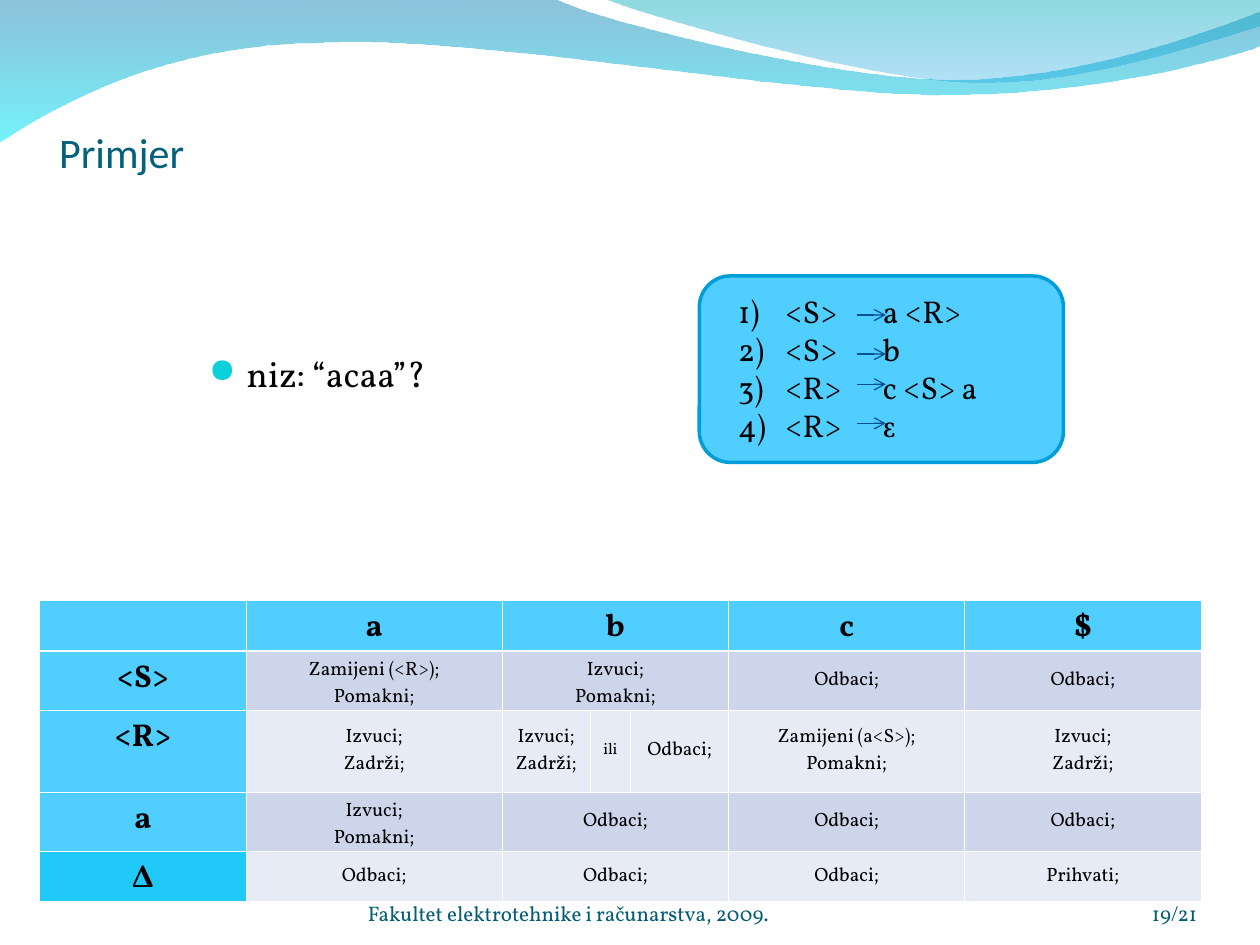
from dataclasses import dataclass

from lxml.etree import SubElement
from pptx import Presentation
from pptx.dml.color import RGBColor
from pptx.enum.shapes import MSO_CONNECTOR, MSO_SHAPE
from pptx.enum.text import MSO_ANCHOR, PP_ALIGN
from pptx.oxml.ns import qn
from pptx.util import Emu, Inches, Pt

# The slide is a grid of 100 columns by 75 rows
prs = Presentation()
prs.slide_width, prs.slide_height = Inches(10), Inches(7.5)
UNIT = prs.slide_width / 100
slide = prs.slides.add_slide(prs.slide_layouts[6])
shapes = slide.shapes

SERIF = "Vollkorn"
BLACK, WHITE, SKY, FOOTER = "000000", "FFFFFF", "4FCEFF", "045C75"


@dataclass
class Label:
    lines: list[str]
    box: tuple[float, float, float, float]
    size: float
    color: str
    font: str = SERIF
    anchor: MSO_ANCHOR = MSO_ANCHOR.TOP
    align: PP_ALIGN = PP_ALIGN.LEFT
    insets: tuple[float, float, float, float] = (0, 0, 0, 0)
    wrap: bool = True
    bullet: str = ""
    bullet_color: str = BLACK
    indent: float = 0
    tab: float = 0


@dataclass
class Wave:
    start: tuple[float, float]
    segments: list[tuple]  # one point is a line, three points a curve
    stops: list[tuple[str, int]]  # colour and opacity in percent


def grid(*cells: float) -> list[Emu]:
    return [Emu(round(c * UNIT)) for c in cells]


def rgb(code: str) -> RGBColor:
    return RGBColor.from_string(code)


def style(paragraph, size: float, color: str, font: str = SERIF, bold: bool = False) -> None:
    for run in paragraph.runs:
        run.font.size, run.font.name, run.font.bold = Pt(size), font, bold
        run.font.color.rgb = rgb(color)


def add_bullet(paragraph, label: Label) -> None:
    props = paragraph._p.get_or_add_pPr()
    indent = grid(label.indent)[0]
    props.set("marL", str(indent))
    props.set("indent", str(-indent))
    SubElement(SubElement(props, qn("a:buClr")), qn("a:srgbClr"), val=label.bullet_color)
    if label.bullet == "1)":
        SubElement(props, qn("a:buFont"), typeface=SERIF)
        SubElement(props, qn("a:buAutoNum"), type="arabicParenR")
    else:
        SubElement(props, qn("a:buSzPct"), val="95000")
        SubElement(props, qn("a:buFont"), typeface="OpenSymbol")
        SubElement(props, qn("a:buChar"), char=label.bullet)
    if label.tab:
        tabs = SubElement(props, qn("a:tabLst"))
        SubElement(tabs, qn("a:tab"), pos=str(grid(label.tab)[0]), algn="l")


def add_label(label: Label) -> None:
    frame = shapes.add_textbox(*grid(*label.box)).text_frame
    frame.word_wrap, frame.vertical_anchor = label.wrap, label.anchor
    (frame.margin_left, frame.margin_top,
     frame.margin_right, frame.margin_bottom) = grid(*label.insets)
    frame.text = "\n".join(label.lines)
    for paragraph in frame.paragraphs:
        if label.bullet:
            add_bullet(paragraph, label)
        paragraph.alignment = label.align
        style(paragraph, label.size, label.color, label.font)


def bend_segments(shape, segments: list[tuple]) -> None:
    """Join each run of three straight steps into one Bézier curve."""
    steps = iter(list(shape._element.iter(qn("a:lnTo"))))
    for segment in segments:
        nodes = [next(steps) for _ in segment]
        if len(nodes) == 3:
            outline = nodes[0].getparent()
            curve = outline.makeelement(qn("a:cubicBezTo"))
            outline.replace(nodes[0], curve)
            for node in nodes:
                curve.append(node[0])
            for node in nodes[1:]:
                outline.remove(node)


def add_wave(wave: Wave) -> None:
    builder = shapes.build_freeform(*grid(*wave.start), scale=1.0)
    builder.add_line_segments(
        [grid(*point) for segment in wave.segments for point in segment], close=True)
    shape = builder.convert_to_shape()
    bend_segments(shape, wave.segments)
    shape.shadow.inherit = False
    shape.line.fill.background()
    shape.fill.gradient()
    shape.fill.gradient_angle = 270
    for stop, (color, _) in zip(shape.fill.gradient_stops, wave.stops):
        stop.color.rgb = rgb(color)
    for node, (_, opacity) in zip(shape._element.spPr.iter(qn("a:srgbClr")), wave.stops):
        SubElement(node, qn("a:alpha"), val=str(opacity * 1000))


def add_arrow(left: float, right: float, y: float) -> None:
    arrow = shapes.add_connector(MSO_CONNECTOR.STRAIGHT, *grid(left, y, right, y))
    arrow.line.color.rgb, arrow.line.width = rgb("065093"), Pt(0.75)
    SubElement(arrow.line._get_or_add_ln(), qn("a:tailEnd"), type="arrow")
    SubElement(arrow._element.spPr, qn("a:effectLst"))


def add_borders(cell, widths: dict[str, float]) -> None:
    props = cell._tc.get_or_add_tcPr()
    for side, width in widths.items():
        line = SubElement(props, qn(f"a:ln{side}"), w=str(Pt(width)))
        SubElement(SubElement(line, qn("a:solidFill")), qn("a:srgbClr"), val=WHITE)


# Waves along the top edge
add_wave(Wave((0, -0.1), [
    ((44, -0.1),),
    ((47.6, 1.7), (66.4, 6.3), (75.8, 6.3)), ((85.3, 6.3), (95.8, 2.6), (100, 0.9)),
    ((100.1, 3.6),),
    ((98.3, 4.4), (87, 7.6), (74.6, 7.5)), ((62.2, 7.5), (38.2, 2.8), (25.7, 3.4)),
    ((12.9, 3.5), (4.6, 8.3), (-0.1, 11.3)),
], [("0079AF", 45), ("00EBF8", 55)]))
add_wave(Wave((47.9, -0.1), [
    ((50.9, 1.1), (68.2, 6.2), (76.9, 6.5)), ((85.6, 6.9), (96.1, 3.2), (100, 2.1)),
    ((100, 0),),
], [("00ADB6", 45), ("009BE5", 30)]))

# Grammar panel
panel = shapes.add_shape(MSO_SHAPE.ROUNDED_RECTANGLE, *grid(55.5, 21.9, 28.9, 14.8))
panel.shadow.inherit = False
panel.fill.solid()
panel.fill.fore_color.rgb = rgb(SKY)
panel.line.color.rgb, panel.line.width = rgb("009DD9"), Pt(2)

# Title, productions, input string and footer
PADDING = (1, 0.5, 1, 0.5)
for label in (
    Label(["Primjer"], (4.7, 7.8, 90, 6.2), 24, "04617B", "Calibri",
          MSO_ANCHOR.BOTTOM, insets=(0, 0.5, 0, 0)),
    Label(["<S>\ta <R>", "<S>\tb", "<R>\tc <S> a", "<R>\tε"], (57.6, 22.7, 22, 13), 18, BLACK,
          insets=PADDING, wrap=False, bullet="1)", indent=3.75, tab=11.5),
    Label(["niz: “acaa”?"], (15.6, 27.4, 21.1, 4.7), 20.4, BLACK,
          insets=PADDING, bullet="●", bullet_color="0BD0D9", indent=3),
    Label(["19/21"], (86.7, 69.5, 8.3, 4), 12, FOOTER,
          anchor=MSO_ANCHOR.BOTTOM, align=PP_ALIGN.RIGHT),
    Label(["Fakultet elektrotehnike i računarstva, 2009."], (29.2, 69.5, 36.7, 4), 12, FOOTER,
          anchor=MSO_ANCHOR.BOTTOM),
):
    add_label(label)

# Production arrows
for arrow_row in (25, 28.1, 30.5, 33.6):
    add_arrow(68, 70.3, arrow_row)

# Parsing table: None continues the merged cell on its left
COLUMNS = (16.4, 20.3, 7, 3.2, 7.8, 18.7, 18.8)
ROWS = (4, 4.7, 6.5, 4.7, 4)
REJECT, POP_MOVE, POP_HOLD = "Odbaci;", "Izvuci;\nPomakni;", "Izvuci;\nZadrži;"
ACTIONS = (
    ("", "a", "b", None, None, "c", "$"),
    ("<S>", "Zamijeni (<R>);\nPomakni;", POP_MOVE, None, None, REJECT, REJECT),
    ("<R>", POP_HOLD, POP_HOLD, "ili", REJECT, "Zamijeni (a<S>);\nPomakni;", POP_HOLD),
    ("a", POP_MOVE, REJECT, None, None, REJECT, REJECT),
    ("Δ", REJECT, REJECT, None, None, REJECT, "Prihvati;"),
)
THIN, THICK = 0.45, 1.47
table = shapes.add_table(len(ROWS), len(COLUMNS),
                         *grid(3.15, 47.65, sum(COLUMNS), sum(ROWS))).table
for column, width in zip(table.columns, grid(*COLUMNS)):
    column.width = width
for row, height in zip(table.rows, grid(*ROWS)):
    row.height = height
for r, actions in enumerate(ACTIONS):
    if None in actions:
        table.cell(r, 2).merge(table.cell(r, 4))
    for c, action in enumerate(actions):
        cell = table.cell(r, c)
        heading = r == 0 or c == 0
        add_borders(cell, {"L": THIN, "R": THIN, "T": THICK if r == 1 else THIN,
                           "B": THICK if r == 0 else THIN})
        cell.fill.solid()
        band = "CCD5EA" if r % 2 else "E7EBF5"
        last_heading = c == 0 and r == len(ROWS) - 1
        cell.fill.fore_color.rgb = rgb("20C9F8" if last_heading else SKY if heading else band)
        if not action:
            continue
        cell.vertical_anchor = MSO_ANCHOR.TOP if heading else MSO_ANCHOR.MIDDLE
        cell.text_frame.text = action
        for paragraph in cell.text_frame.paragraphs:
            paragraph.alignment = PP_ALIGN.CENTER
            style(paragraph, 18 if heading else 9 if action == "ili" else 11, BLACK, bold=heading)

prs.save("out.pptx")
